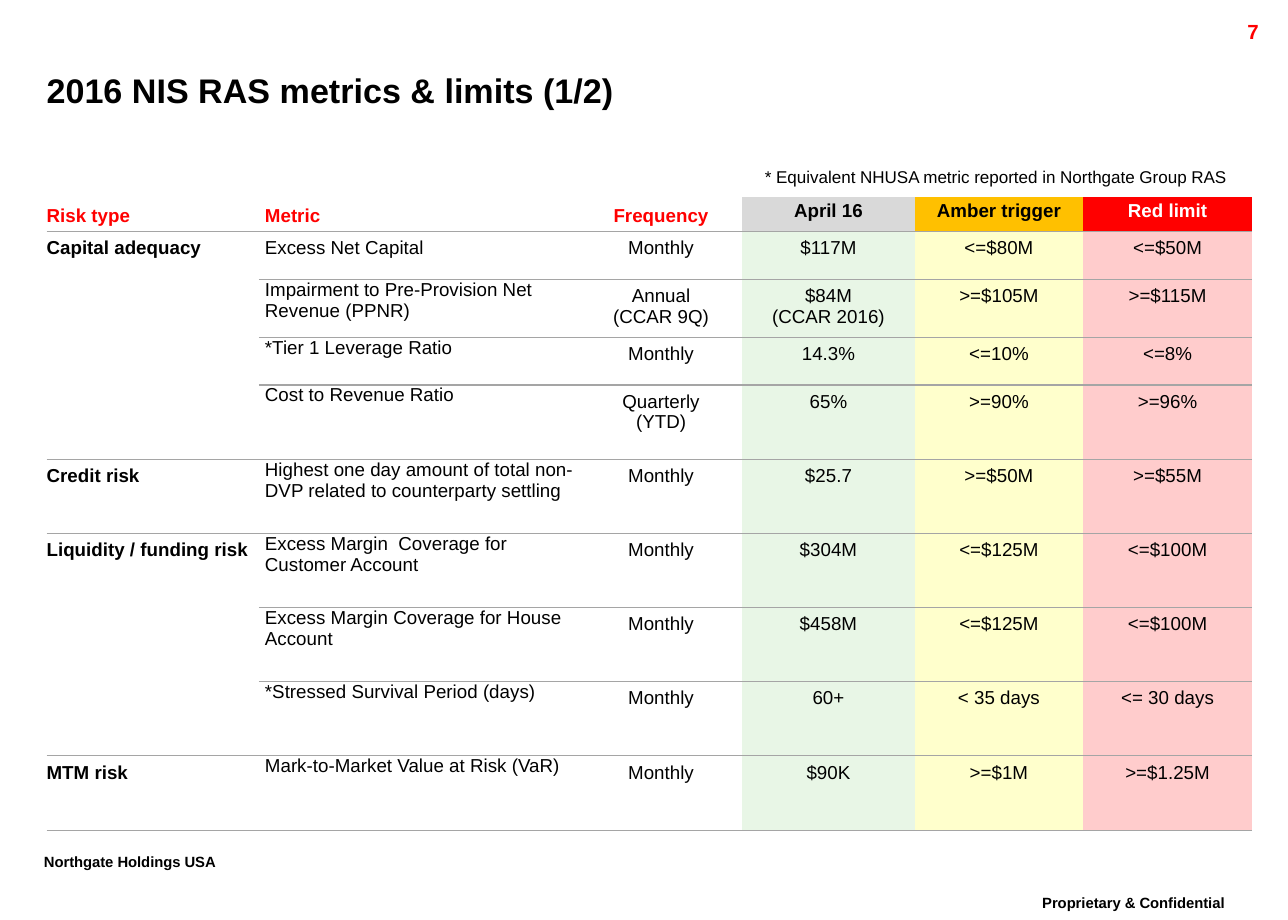
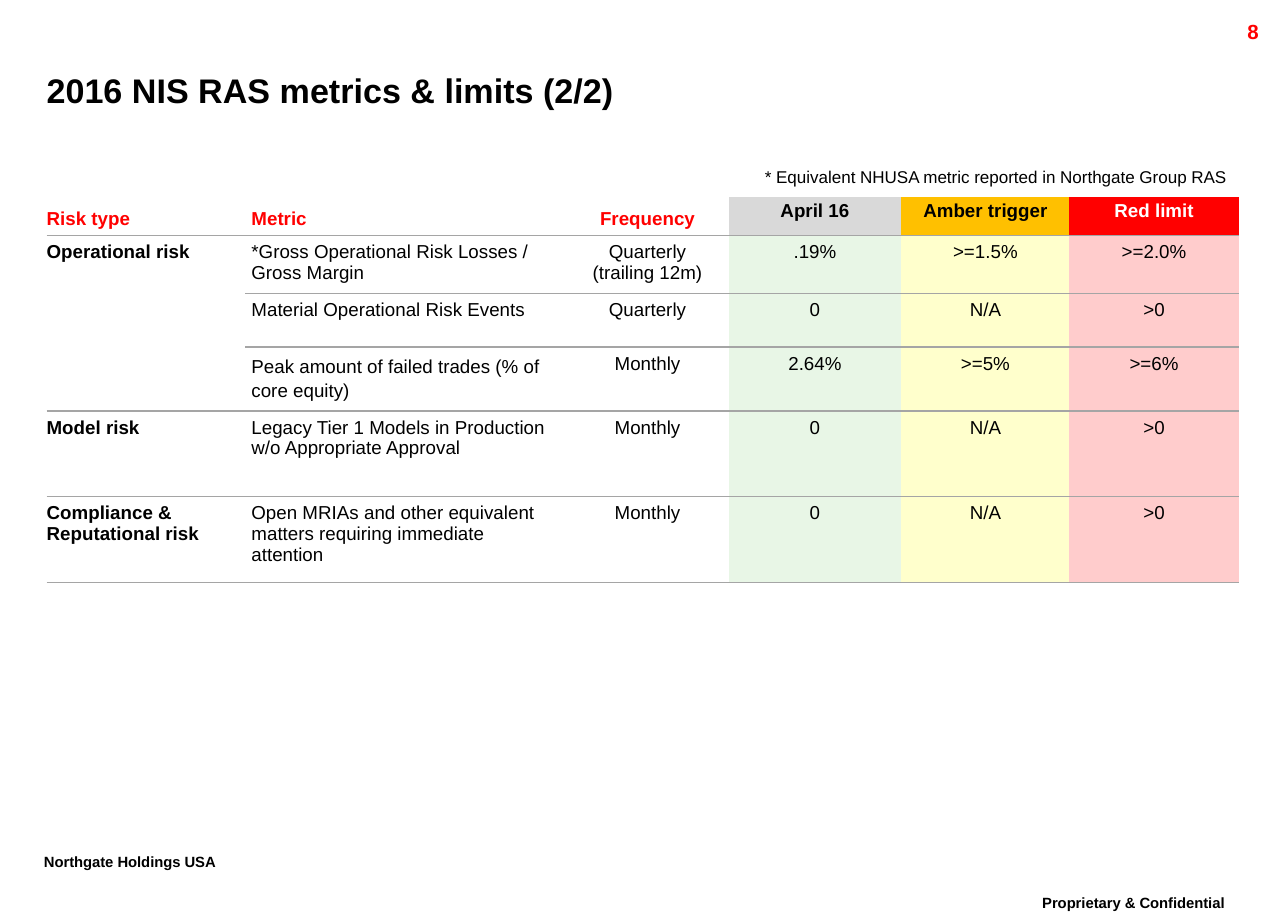
from lxml import etree
from pptx import Presentation
from pptx import util as u
from pptx.dml.color import RGBColor
from pptx.enum import text
from pptx.oxml.ns import qn

COLORS = {
    "black": "000000", "white": "FFFFFF", "red": "FF0000", "rule": "A5A5A5",
    "gray": "D9D9D9", "amber": "FFC000",
    "pale_green": "E8F6E6", "pale_yellow": "FFFFCC", "pale_red": "FFCCCC",
}
FONT = "Arial"
NO_STYLE_NO_GRID = "{2D5ABB26-0587-4C30-8999-92F81FD0307C}"
LEFT, CENTER, RIGHT = text.PP_ALIGN.LEFT, text.PP_ALIGN.CENTER, text.PP_ALIGN.RIGHT
TOP, MIDDLE, BOTTOM = text.MSO_ANCHOR.TOP, text.MSO_ANCHOR.MIDDLE, text.MSO_ANCHOR.BOTTOM
TIGHT_SPACING = 0.86
PADDING = 0.05

TABLE_LEFT, TABLE_TOP = 0.38, 1.61
METRIC_TO_LIMIT_WIDTHS = [2.62, 1.32, 1.41, 1.37, 1.38]
HEADERS = [
    ("Risk type", "red", None, LEFT), ("Metric", "red", None, LEFT),
    ("Frequency", "red", None, CENTER), ("April 16", "black", "gray", CENTER),
    ("Amber trigger", "black", "amber", CENTER), ("Red limit", "white", "red", CENTER),
]
BODY_FILLS = [None, None, None, "pale_green", "pale_yellow", "pale_red"]

PAGES = [
    {
        "number": "7",
        "title": "2016 NIS RAS metrics & limits (1/2)",
        "risk_width": 1.73,
        "row_heights": [0.28, 0.39, 0.47, 0.39] + [0.605] * 6,
        "tight_metrics_from": 2,
        "metric_spacing": {},
        "risks": [
            ("Capital adequacy", [
                ("Excess Net Capital", "Monthly", "$117M", "<=$80M", "<=$50M"),
                ("Impairment to Pre-Provision Net Revenue (PPNR)", "Annual\n(CCAR 9Q)",
                 "$84M\n(CCAR 2016)", ">=$105M", ">=$115M"),
                ("*Tier 1 Leverage Ratio", "Monthly", "14.3%", "<=10%", "<=8%"),
                ("Cost to Revenue Ratio", "Quarterly\n(YTD)", "65%", ">=90%", ">=96%"),
            ]),
            ("Credit risk", [
                ("Highest one day amount of total non-DVP related to counterparty settling",
                 "Monthly", "$25.7", ">=$50M", ">=$55M"),
            ]),
            ("Liquidity / funding risk", [
                ("Excess Margin  Coverage for Customer Account",
                 "Monthly", "$304M", "<=$125M", "<=$100M"),
                ("Excess Margin Coverage for House Account",
                 "Monthly", "$458M", "<=$125M", "<=$100M"),
                ("*Stressed Survival Period (days)", "Monthly", "60+", "< 35 days", "<= 30 days"),
            ]),
            ("MTM risk", [
                ("Mark-to-Market Value at Risk (VaR)", "Monthly", "$90K", ">=$1M", ">=$1.25M"),
            ]),
        ],
    },
    {
        "number": "8",
        "title": "2016 NIS RAS metrics & limits (2/2)",
        "risk_width": 1.62,
        "row_heights": [0.31, 0.47, 0.44, 0.52, 0.7, 0.7],
        "tight_metrics_from": 6,
        "metric_spacing": {3: 1.15},
        "risks": [
            ("Operational risk", [
                ("*Gross Operational Risk Losses / Gross Margin", "Quarterly\n(trailing 12m)",
                 ".19%", ">=1.5%", ">=2.0%"),
                ("Material Operational Risk Events", "Quarterly", "0", "N/A", ">0"),
                ("Peak amount of failed trades (% of core equity)",
                 "Monthly", "2.64%", ">=5%", ">=6%"),
            ]),
            ("Model risk", [
                ("Legacy Tier 1 Models in Production w/o Appropriate Approval",
                 "Monthly", "0", "N/A", ">0"),
            ]),
            ("Compliance & Reputational risk", [
                ("Open MRIAs and other equivalent matters requiring immediate attention",
                 "Monthly", "0", "N/A", ">0"),
            ]),
        ],
    },
]


def color(name):
    return RGBColor.from_string(COLORS[name])


def write(frame, content, size=11, ink="black", bold=False, align=LEFT, spacing=None,
          raised=False):
    for index, line in enumerate(content.split("\n")):
        paragraph = frame.add_paragraph() if index else frame.paragraphs[0]
        paragraph.alignment = align
        if spacing:
            paragraph.line_spacing = spacing
        run = paragraph.add_run()
        run.text = line
        run.font.name, run.font.size, run.font.bold = FONT, u.Pt(size), bold
        run.font.color.rgb = color(ink)
        if raised:
            run.font._element.set("baseline", "30000")


def add_text(slide, box, content, anchor=TOP, wrap=True, inset=(0.1, 0.05), **style):
    frame = slide.shapes.add_textbox(*map(u.Inches, box)).text_frame
    frame.word_wrap = wrap
    frame.vertical_anchor = anchor
    frame.margin_left = frame.margin_right = u.Inches(inset[0])
    frame.margin_top = frame.margin_bottom = u.Inches(inset[1])
    write(frame, content, **style)


def add_rule(cell, side):
    line = etree.SubElement(cell._tc.get_or_add_tcPr(), qn("a:" + side), w=str(u.Pt(0.75)))
    fill = etree.SubElement(line, qn("a:solidFill"))
    etree.SubElement(fill, qn("a:srgbClr"), val=COLORS["rule"])


def fill_cell(cell, content, fill=None, anchor=TOP, margins=(PADDING,) * 4, **style):
    (cell.margin_left, cell.margin_top,
     cell.margin_right, cell.margin_bottom) = map(u.Inches, margins)
    cell.vertical_anchor = anchor
    if fill:
        cell.fill.solid()
        cell.fill.fore_color.rgb = color(fill)
    else:
        cell.fill.background()
    write(cell.text_frame, content, **style)


def add_metrics_table(slide, page):
    widths = [page["risk_width"]] + METRIC_TO_LIMIT_WIDTHS
    heights = page["row_heights"]
    box = (TABLE_LEFT, TABLE_TOP, sum(widths), sum(heights))
    table = slide.shapes.add_table(len(heights), len(widths), *map(u.Inches, box)).table
    table.first_row = table.horz_banding = False
    table._tbl.tblPr.find(qn("a:tableStyleId")).text = NO_STYLE_NO_GRID
    for column, width in zip(table.columns, widths):
        column.width = u.Inches(width)
    for row, height in zip(table.rows, heights):
        row.height = u.Inches(height)

    risk_margins = (0, PADDING, PADDING, PADDING)
    tight_margins = (PADDING, 0, 0, 0)
    for column, (label, ink, fill, align) in enumerate(HEADERS):
        fill_cell(table.cell(0, column), label, fill=fill, ink=ink, bold=True, align=align,
                  anchor=TOP if fill else BOTTOM, spacing=TIGHT_SPACING,
                  margins=(PADDING if column else 0,) + risk_margins[1:])

    first = 1
    for risk, metrics in page["risks"]:
        for row, metric in enumerate(metrics, first):
            for column in range(len(widths)):
                cell = table.cell(row, column)
                if column or row == first:
                    add_rule(cell, "lnT")
                if row == len(heights) - 1:
                    add_rule(cell, "lnB")
                if column == 1:
                    tight = row >= page["tight_metrics_from"]
                    fill_cell(cell, metric[0], spacing=page["metric_spacing"].get(row),
                              margins=tight_margins if tight else (PADDING,) * 4)
                elif column:
                    fill_cell(cell, metric[column - 1], fill=BODY_FILLS[column], align=CENTER)
        risk_cell = table.cell(first, 0)
        if len(metrics) > 1:
            risk_cell.merge(table.cell(first + len(metrics) - 1, 0))
        fill_cell(risk_cell, risk, bold=True, margins=risk_margins)
        first += len(metrics)


def add_frame(slide, page):
    footer = dict(size=15, bold=True, spacing=TIGHT_SPACING, raised=True)
    add_text(slide, (8.15, 7.25, 2.18, 0.35), "Proprietary & Confidential",
             align=CENTER, **footer)
    add_text(slide, (0.26, 6.91, 1.91, 0.35), "Northgate Holdings USA", wrap=False, **footer)
    add_text(slide, (9.36, 0.11, 1, 0.24), page["number"], size=12, ink="red", bold=True,
             align=RIGHT)
    add_text(slide, (TABLE_LEFT, 0.49, 9.48, 0.48), page["title"], anchor=MIDDLE,
             inset=(0, 0), size=20, bold=True)
    add_text(slide, (6.12, 1.33, 3.99, 0.25),
             "* Equivalent NHUSA metric reported in Northgate Group RAS",
             wrap=False, size=10, align=CENTER, spacing=TIGHT_SPACING)


def main():
    presentation = Presentation()
    presentation.slide_width, presentation.slide_height = u.Inches(10.5), u.Inches(7.5)
    for page in PAGES:
        slide = presentation.slides.add_slide(presentation.slide_layouts[6])
        add_frame(slide, page)
        add_metrics_table(slide, page)
    presentation.save("out.pptx")


if __name__ == "__main__":
    main()
